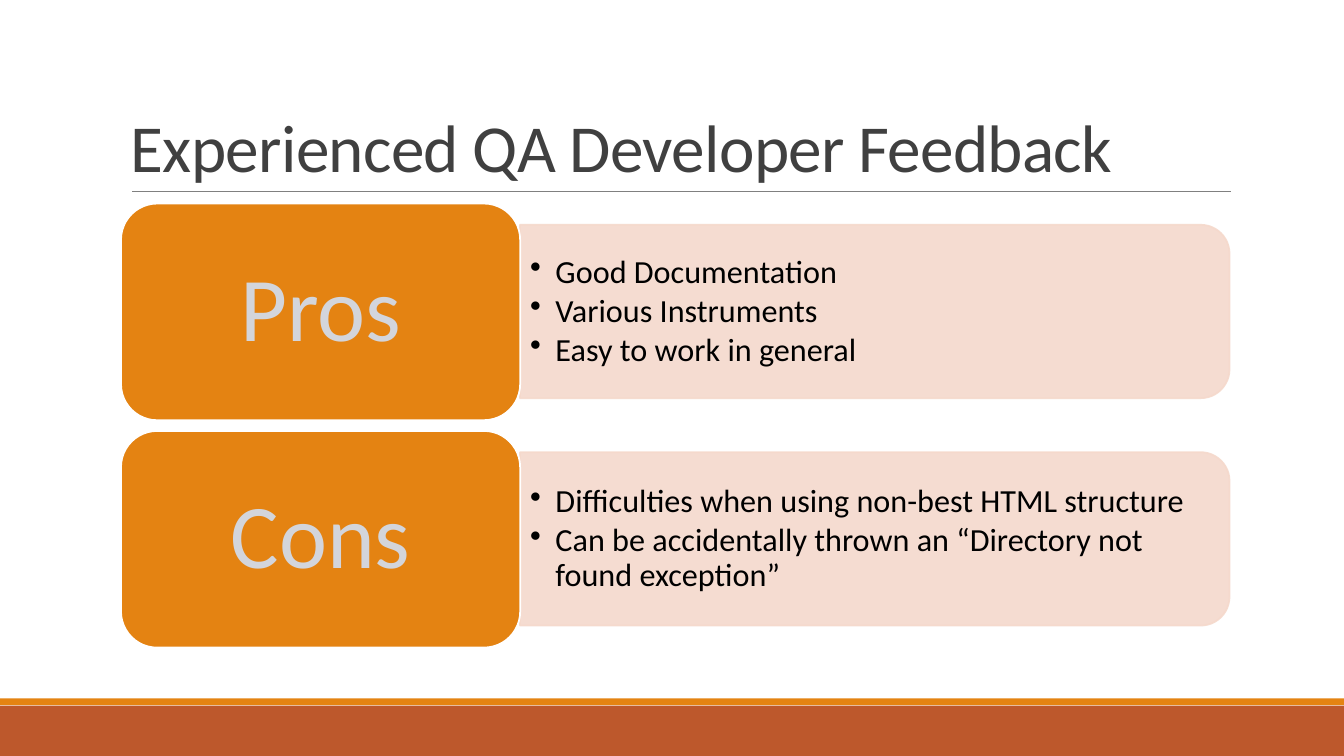
from lxml import etree
from pptx import Presentation
from pptx.dml.color import RGBColor
from pptx.enum.shapes import MSO_CONNECTOR, MSO_SHAPE
from pptx.enum.text import MSO_ANCHOR, PP_ALIGN
from pptx.oxml.ns import qn
from pptx.util import Cm, Pt

RECT = MSO_SHAPE.RECTANGLE
ROUND = MSO_SHAPE.ROUNDED_RECTANGLE
TAB = MSO_SHAPE.ROUND_2_SAME_RECTANGLE
STRAIGHT = MSO_CONNECTOR.STRAIGHT
MIDDLE, BOTTOM = MSO_ANCHOR.MIDDLE, MSO_ANCHOR.BOTTOM
LEFT, CENTER = PP_ALIGN.LEFT, PP_ALIGN.CENTER

FONT = "Calibri"
ORANGE, RUST, PINK = "E48312", "BD582C", "F5D9CC"
WHITE, PALE, BLACK, DARK, GRAY = "FFFFFF", "D3D5DB", "000000", "404040", "808080"

WIDE, HIGH = 33.87, 19.05
TOP, STEP = 5.13, 5.73
ROWS = [
    ("Pros", ["Good Documentation", "Various Instruments", "Easy to work in general"]),
    ("Cons", ["Difficulties when using non-best HTML structure",
              "Can be accidentally thrown an “Directory not found exception”"]),
]


def paint(color, value):
    color.rgb = RGBColor.from_string(value)


def add_box(slide, kind, area, fill, line=None):
    box = slide.shapes.add_shape(kind, *map(Cm, area))
    box.shadow.inherit = False
    box.fill.solid()
    paint(box.fill.fore_color, fill)
    if line:
        paint(box.line.color, line)
        box.line.width = Pt(1.25)
    else:
        box.line.fill.background()
    return box


def fade(shape, percent):
    """Make the fill and line of a shape partly see-through."""
    for color in shape._element.spPr.iter(qn("a:srgbClr")):
        etree.SubElement(color, qn("a:alpha"), val=str(percent * 1000))


def set_frame(shape, anchor, side, edge):
    frame = shape.text_frame
    frame.word_wrap = True
    frame.vertical_anchor = anchor
    frame.margin_left = frame.margin_right = Cm(side)
    frame.margin_top = frame.margin_bottom = Cm(edge)
    return frame


def add_run(para, text, size, color, align=LEFT, space=0.9):
    para.alignment = align
    para.line_spacing = space
    run = para.add_run()
    run.text = text
    run.font.name = FONT
    run.font.size = Pt(size)
    paint(run.font.color, color)
    return run


def set_bullet(para):
    props = para._p.get_or_add_pPr()
    props.set("marL", str(Cm(0.64)))
    props.set("indent", str(-Cm(0.64)))
    etree.SubElement(props, qn("a:buChar"), char="•")


def add_title(slide, text):
    box = slide.shapes.add_textbox(Cm(3.05), Cm(0.79), Cm(27.94), Cm(4.04))
    frame = set_frame(box, BOTTOM, 0.25, 0.13)
    run = add_run(frame.paragraphs[0], text, 48, DARK, space=0.85)
    run.font._element.set("spc", "-50")


def add_rule(slide):
    rule = slide.shapes.add_connector(STRAIGHT, Cm(3.33), Cm(4.83), Cm(31.01), Cm(4.83))
    paint(rule.line.color, GRAY)
    rule.line.width = Pt(0.5)
    etree.SubElement(rule._element.spPr, qn("a:effectLst"))


def add_list(slide, items, top):
    box = slide.shapes.add_textbox(Cm(13.11), Cm(top), Cm(17.68), Cm(3.94))
    frame = set_frame(box, MIDDLE, 0.25, 0.13)
    for i, item in enumerate(items):
        para = frame.add_paragraph() if i else frame.paragraphs[0]
        add_run(para, item, 23, BLACK)
        para.space_after = Pt(3)
        set_bullet(para)


def add_row(slide, label, items, top):
    """Draw a label box with its list on a panel turned to the right."""
    panel = add_box(slide, TAB, (19.86, top - 6.22, 4.37, 17.88), PINK, PINK)
    panel.rotation = 90
    fade(panel, 90)
    add_list(slide, items, top + 0.76)
    box = add_box(slide, ROUND, (3.05, top, 10.06, 5.46), ORANGE, WHITE)
    frame = set_frame(box, MIDDLE, 0.69, 0.36)
    add_run(frame.paragraphs[0], label, 65, PALE, CENTER)


def main():
    deck = Presentation()
    deck.slide_width, deck.slide_height = Cm(WIDE), Cm(HIGH)
    slide = deck.slides.add_slide(deck.slide_layouts[6])
    slide.background.fill.solid()
    paint(slide.background.fill.fore_color, WHITE)
    add_box(slide, RECT, (0, 17.78, WIDE, 1.27), RUST)
    add_box(slide, RECT, (0, 17.6, WIDE, 0.17), ORANGE)
    add_rule(slide)
    add_title(slide, "Experienced QA Developer Feedback")
    for i, (label, items) in enumerate(ROWS):
        add_row(slide, label, items, TOP + i * STEP)
    deck.save("out.pptx")


if __name__ == "__main__":
    main()
